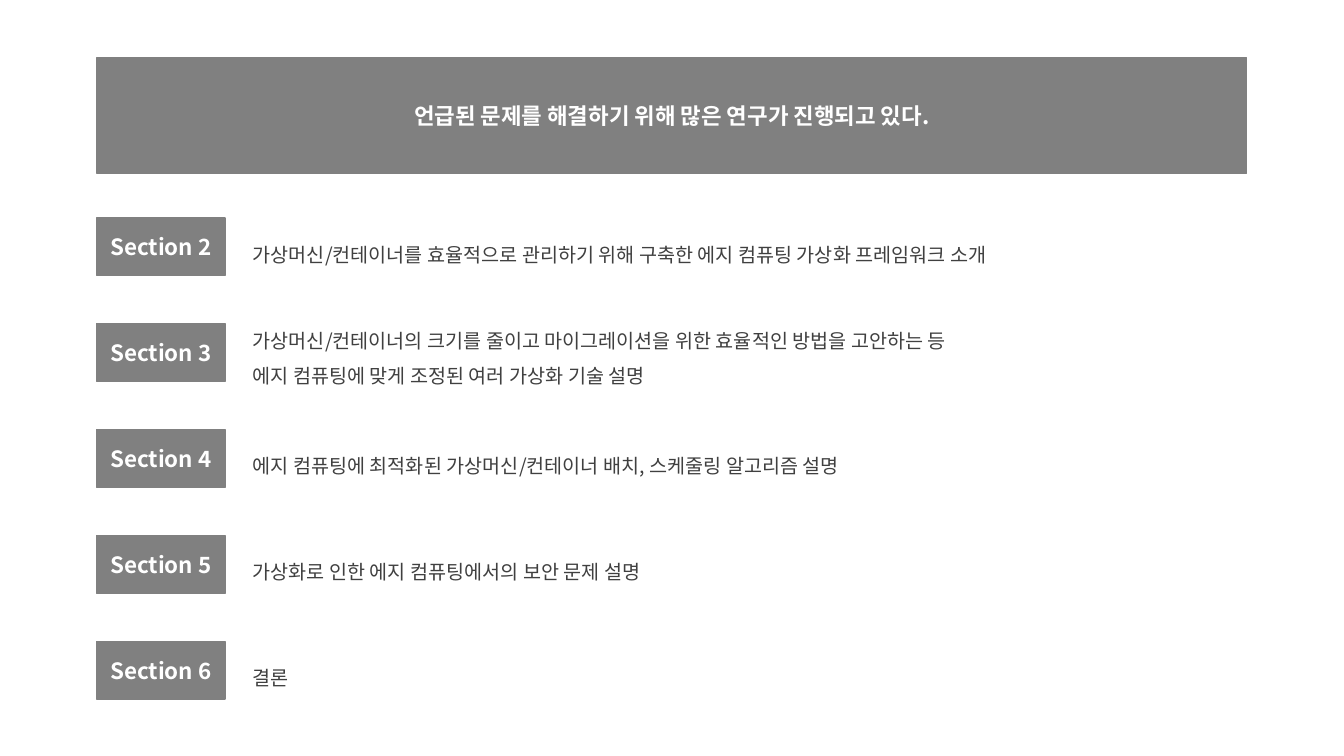
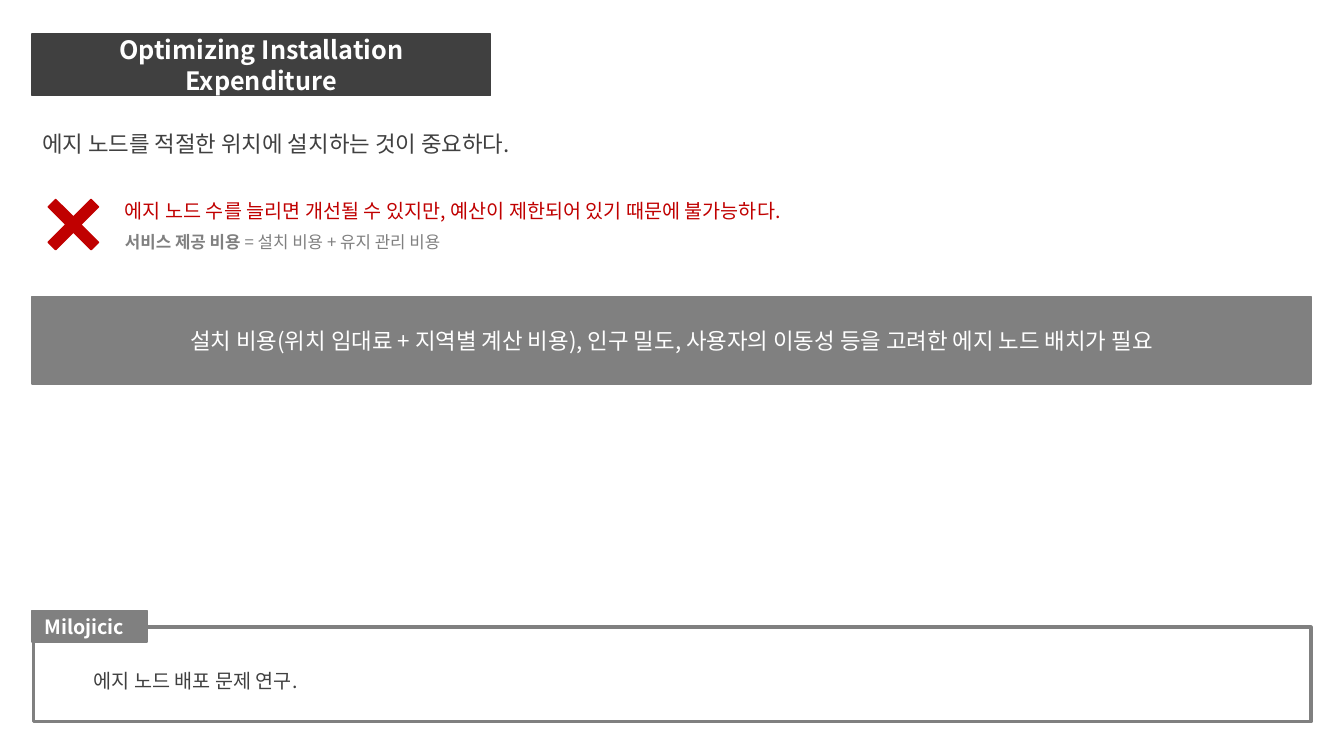
"""Build two slides on edge computing research and edge node placement."""
import dataclasses

import pptx
import pptx.dml.color
import pptx.enum.shapes
import pptx.enum.text
import pptx.oxml.ns
import pptx.util
from lxml import etree

Cm = pptx.util.Cm
Pt = pptx.util.Pt
Align = pptx.enum.text.PP_ALIGN
Anchor = pptx.enum.text.MSO_ANCHOR
Preset = pptx.enum.shapes.MSO_SHAPE


def rgb(value):
    return pptx.dml.color.RGBColor.from_string(value)


@dataclasses.dataclass(frozen=True)
class Theme:
    font: str = "Noto Sans CJK KR"
    white: str = "FFFFFF"
    gray: str = "808080"
    dark: str = "404040"
    red: str = "C00000"
    title: int = 18
    lead: int = 16
    body: int = 14
    note: int = 12
    spacing: float = 1.5
    thin: float = 1
    thick: float = 2.25


class Deck:
    def __init__(self, theme):
        self.theme = theme
        self.presentation = pptx.Presentation()
        self.presentation.slide_width = Cm(33.87)
        self.presentation.slide_height = Cm(19.05)
        self.slide = None

    def add_slide(self):
        layout = self.presentation.slide_layouts[5]
        self.slide = self.presentation.slides.add_slide(layout)

    def style_paragraph(self, paragraph, size, color, bold=False, align=Align.LEFT, spacing=1.0):
        paragraph.alignment = align
        paragraph.line_spacing = spacing
        font = paragraph.font
        font.name = self.theme.font
        font.size = Pt(size)
        font.bold = bold
        font.color.rgb = rgb(color)
        properties = paragraph._p.pPr.find(pptx.oxml.ns.qn("a:defRPr"))
        east_asian = etree.SubElement(properties, pptx.oxml.ns.qn("a:ea"))
        east_asian.set("typeface", self.theme.font)

    def paint(self, shape, fill, line, width):
        shape.fill.solid()
        shape.fill.fore_color.rgb = rgb(fill)
        shape.line.color.rgb = rgb(line)
        shape.line.width = Pt(width)

    def label(self, shape, text, size, color, **style):
        frame = shape.text_frame
        frame.word_wrap = True
        frame.auto_size = pptx.enum.text.MSO_AUTO_SIZE.NONE
        frame.vertical_anchor = Anchor.MIDDLE
        frame.text = text
        self.style_paragraph(frame.paragraphs[0], size, color, **style)

    def title(self, text, box, fill, size):
        shape = self.slide.shapes.title
        shape.left, shape.top, shape.width, shape.height = map(Cm, box)
        self.paint(shape, fill, fill, self.theme.thin)
        self.label(shape, text, size, self.theme.white, bold=True, align=Align.CENTER)

    def shape(self, box, fill, line=None, width=None, preset=Preset.RECTANGLE):
        shape = self.slide.shapes.add_shape(preset, *map(Cm, box))
        shape.shadow.inherit = False
        self.paint(shape, fill, line or fill, width or self.theme.thin)
        return shape

    def band(self, text, box, size, bold=False):
        shape = self.shape(box, self.theme.gray)
        self.label(shape, text, size, self.theme.white, bold=bold, align=Align.CENTER)
        return shape

    def text(self, lines, box, size, color, spacing=1.0):
        frame = self.slide.shapes.add_textbox(*map(Cm, box)).text_frame
        frame.word_wrap = True
        frame.text = "\n".join(lines)
        for paragraph in frame.paragraphs:
            self.style_paragraph(paragraph, size, color, spacing=spacing)
        return frame


def build_outline(deck):
    theme = deck.theme
    deck.add_slide()
    deck.title("언급된 문제를 해결하기 위해 많은 연구가 진행되고 있다.",
               (2.44, 1.45, 28.98, 2.92), theme.gray, theme.lead)
    sections = [
        ["가상머신/컨테이너를 효율적으로 관리하기 위해 구축한 에지 컴퓨팅 가상화 프레임워크 소개"],
        ["가상머신/컨테이너의 크기를 줄이고 마이그레이션을 위한 효율적인 방법을 고안하는 등",
         "에지 컴퓨팅에 맞게 조정된 여러 가상화 기술 설명"],
        ["에지 컴퓨팅에 최적화된 가상머신/컨테이너 배치, 스케줄링 알고리즘 설명"],
        ["가상화로 인한 에지 컴퓨팅에서의 보안 문제 설명"],
        ["결론"],
    ]
    for index, lines in enumerate(sections):
        top = 5.49 + 2.67 * index
        extra = len(lines) - 1
        deck.band(f"Section {index + 2}", (2.44, top, 3.23, 1.45), theme.lead, bold=True)
        deck.text(lines, (6.12, top + 0.2 - 0.49 * extra, 24, 1.04 + 0.89 * extra),
                  theme.body, theme.dark, theme.spacing)


def build_expenditure(deck):
    theme = deck.theme
    left = 0.81
    deck.add_slide()
    deck.title("Optimizing Installation Expenditure",
               (left, 0.86, 11.55, 1.55), theme.dark, theme.title)
    deck.text(["에지 노드를 적절한 위치에 설치하는 것이 중요하다."],
              (left, 3.15, 13.7, 0.94), theme.lead, theme.dark)

    cross = deck.shape((left, 4.62, 2.08, 2.08), theme.red, preset=Preset.MATH_MULTIPLY)
    cross.adjustments[0] = 0.128
    reason = deck.text(["에지 노드 수를 늘리면 개선될 수 있지만, 예산이 제한되어 있기 때문에 불가능하다."],
                       (2.9, 4.88, 19.1, 1.52), theme.body, theme.red)
    cost = reason.add_paragraph()
    cost.add_run().text = "서비스 제공 비용 "
    cost.add_run().text = "= 설치 비용 + 유지 관리 비용"
    deck.style_paragraph(cost, theme.note, theme.gray, spacing=theme.spacing)
    cost.runs[0].font.bold = True

    deck.band("설치 비용(위치 임대료 + 지역별 계산 비용), 인구 밀도, 사용자의 이동성 등을 고려한 에지 노드 배치가 필요",
              (left, 7.47, 32.23, 2.21), theme.lead)

    study = deck.shape((0.84, 15.8, 32.2, 2.39), theme.white, theme.gray, theme.thick)
    deck.label(study, "에지 노드 배포 문제 연구.", theme.body, theme.dark, spacing=theme.spacing)
    study.text_frame.margin_left = Cm(1.52)
    author = deck.band("Milojicic", (left, 15.39, 2.9, 0.79), theme.body, bold=True)
    author.text_frame.margin_left = Cm(0.13)
    author.text_frame.margin_right = Cm(0.4)


def main():
    deck = Deck(Theme())
    build_outline(deck)
    build_expenditure(deck)
    deck.presentation.save("out.pptx")


main()
